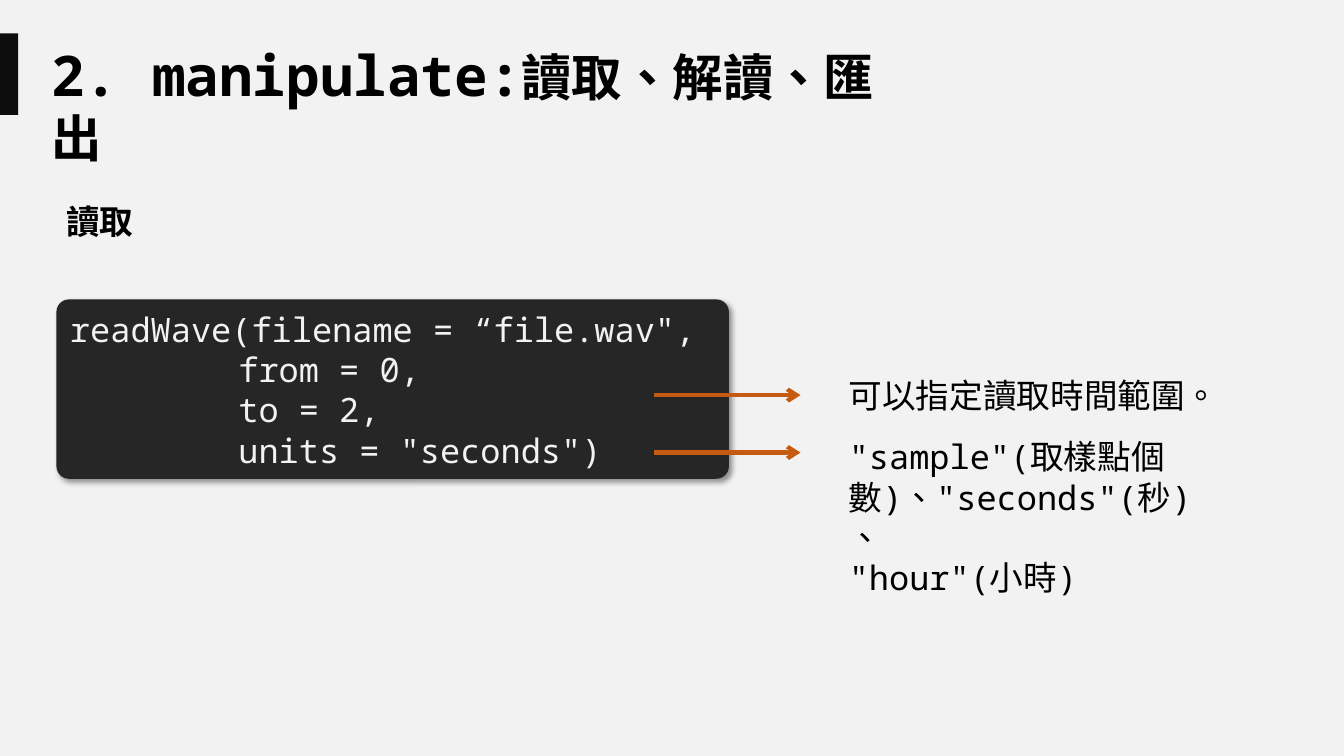
"""Build a slide on reading wave files, with code and two notes."""
from lxml.etree import SubElement
from pptx import Presentation
from pptx.dml.color import RGBColor
from pptx.enum.shapes import MSO_CONNECTOR, MSO_SHAPE
from pptx.enum.text import MSO_ANCHOR, PP_ALIGN
from pptx.oxml import parse_xml
from pptx.oxml.ns import nsdecls, qn
from pptx.util import Inches, Pt

INK = RGBColor(0, 0, 0)
PALE = RGBColor(0xF2, 0xF2, 0xF2)
BAR = RGBColor(0x0D, 0x0D, 0x0D)
DARK = RGBColor(0x26, 0x26, 0x26)
RUST = RGBColor(0xC5, 0x5A, 0x11)
MONO, HAN = "Noto Sans Mono", "Noto Sans CJK SC"

deck = Presentation()
deck.slide_width, deck.slide_height = Inches(13.33), Inches(7.5)
slide = deck.slides.add_slide(deck.slide_layouts[5])
slide.background.fill.solid()
slide.background.fill.fore_color.rgb = PALE
shapes = slide.shapes


def write(para, text, face=MONO, size=24, color=INK, bold=False, indent=0):
    """Add one formatted run to a paragraph."""
    para.alignment = PP_ALIGN.LEFT
    para.space_before = Pt(0)
    if indent:
        props = para._p.get_or_add_pPr()
        props.set("marL", str(Inches(indent)))
        props.set("indent", "0")
    run = para.add_run()
    run.text = text
    font = run.font
    font.name, font.size, font.bold = face, Pt(size), bold
    font.color.rgb = color
    props = run._r.get_or_add_rPr()
    props.set("lang", "zh-TW")
    SubElement(props, qn("a:ea")).set("typeface", HAN)


def block(shape, lines, anchor=MSO_ANCHOR.TOP, **form):
    """Fill a shape with lines of (text, indent)."""
    frame = shape.text_frame
    frame.word_wrap, frame.vertical_anchor = True, anchor
    for row, (text, indent) in enumerate(lines):
        para = frame.add_paragraph() if row else frame.paragraphs[0]
        write(para, text, indent=indent, **form)


title = shapes.title
title.left, title.top = Inches(0.41), Inches(0.35)
title.width, title.height = Inches(8.56), Inches(0.77)
block(title, [("2. manipulate:", 0)], size=40, bold=True)
write(title.text_frame.paragraphs[0], "讀取、解讀、匯出", face=HAN, size=36, bold=True)

bar = shapes.add_shape(MSO_SHAPE.RECTANGLE, 0, Inches(0.33), Inches(0.18), Inches(0.81))
card = shapes.add_shape(
    MSO_SHAPE.ROUNDED_RECTANGLE, Inches(0.56), Inches(2.97), Inches(6.67), Inches(1.78))
card.adjustments[0] = 0.07
for shape, color in ((bar, BAR), (card, DARK)):
    shape.shadow.inherit = False
    shape.fill.solid()
    shape.fill.fore_color.rgb = color
    shape.line.fill.background()

glow = card._element.spPr.find(qn("a:effectLst"))
glow.append(parse_xml(
    f'<a:outerShdw {nsdecls("a")} blurRad="{Pt(4)}" dist="{Pt(3)}" dir="2700000" '
    'algn="tl" rotWithShape="0"><a:srgbClr val="000000"><a:alpha val="40000"/>'
    '</a:srgbClr></a:outerShdw>'))
code = [('readWave(filename = “file.wav",', 0), ("from = 0,", 1.67),
        ("to = 2,", 1.67), ('units = "seconds")', 1.67)]
block(card, code, anchor=MSO_ANCHOR.MIDDLE, color=PALE)

for y in (3.92, 4.49):
    arrow = shapes.add_connector(
        MSO_CONNECTOR.STRAIGHT, Inches(6.49), Inches(y), Inches(7.94), Inches(y))
    arrow.line.color.rgb = RUST
    arrow.line.width = Pt(3)
    SubElement(arrow.line._get_or_add_ln(), qn("a:tailEnd")).set("type", "arrow")
    SubElement(arrow._element.spPr, qn("a:effectLst"))

notes = [
    (0.56, 1.94, 1, 0.5, HAN, True, ["讀取"]),
    (8.32, 3.67, 3.9, 0.5, HAN, False, ["可以指定讀取時間範圍。"]),
    (8.32, 4.28, 3.9, 1.31, MONO, False,
     ['"sample"(取樣點個數)、"seconds"(秒)、', '"hour"(小時)']),
]
for x, y, wide, high, face, bold, lines in notes:
    box = shapes.add_textbox(Inches(x), Inches(y), Inches(wide), Inches(high))
    block(box, [(line, 0) for line in lines], face=face, bold=bold)

deck.save("out.pptx")
